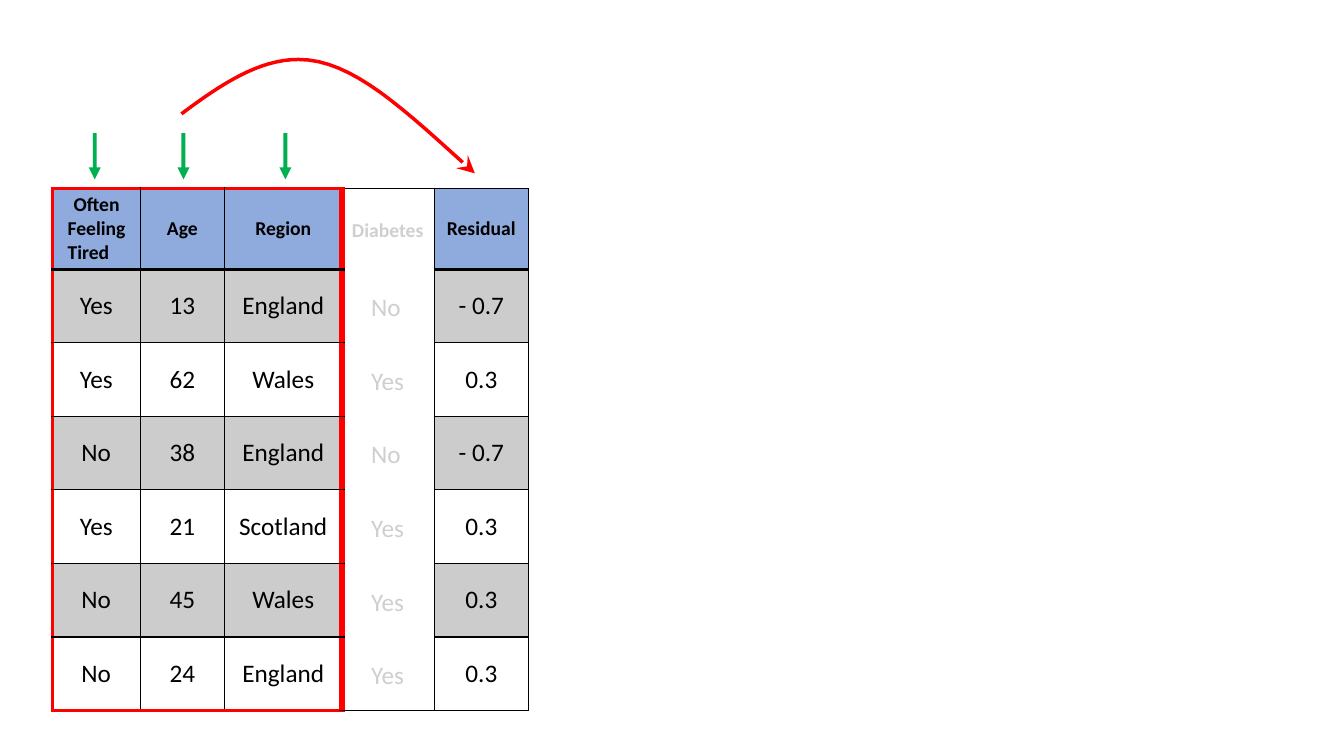
from lxml.etree import SubElement
from pptx import Presentation
from pptx.dml.color import RGBColor
from pptx.enum.shapes import MSO_SHAPE as Preset
from pptx.enum.text import MSO_ANCHOR as Anchor, PP_ALIGN as Align
from pptx.oxml.ns import qn
from pptx.util import Inches, Pt

BLACK = RGBColor(0x00, 0x00, 0x00)
WHITE = RGBColor(0xFF, 0xFF, 0xFF)
RED = RGBColor(0xFF, 0x00, 0x00)
GREEN = RGBColor(0x00, 0xAF, 0x50)
BLUE = RGBColor(0x8F, 0xAA, 0xDC)

COLUMNS = [0.87, 0.84, 1.16, 0.92, 0.93]
ROWS = [0.8] + [0.73] * 6
LEFT, TOP = 0.52, 1.87
FADED = 3  # column whose words lie under a veil
PATIENTS = [
    ["Often Feeling Tired", "Age", "Region", "", "Residual"],
    ["Yes", "13", "England", "", "- 0.7"],
    ["Yes", "62", "Wales", "", "0.3"],
    ["No", "38", "England", "", "- 0.7"],
    ["Yes", "21", "Scotland", "", "0.3"],
    ["No", "45", "Wales", "", "0.3"],
    ["No", "24", "England", "", "0.3"],
]
DIABETES = ["Diabetes", "No", "Yes", "No", "Yes", "Yes", "Yes"]


def set_font(para, header):
    font = para.font
    font.name, font.size, font.bold = "Calibri", Pt(14 if header else 18), header
    font.color.rgb = BLACK


def fill_solid(fill, color, opacity=100):
    fill.solid()
    fill.fore_color.rgb = color
    if opacity < 100:
        # the fill's XML is only reachable through its colour element
        element = fill._xPr.find(qn("a:solidFill"))[0]
        SubElement(element, qn("a:alpha"), val=str(opacity * 1000))


def set_indent(para, left, first):
    properties = para._p.get_or_add_pPr()
    properties.set("marL", str(Inches(left)))
    properties.set("indent", str(Inches(first)))


def cell_borders(row, col):
    """Return colour and width of each side; width 0 means no line."""
    boxed, last = col < FADED, len(ROWS) - 1
    left = {0: (RED, 3), FADED: (RED, 4.5)}.get(col, (BLACK, 1))
    right = (RED, 4.5) if col == FADED - 1 else (BLACK, 1)
    edge = (RED, 3) if boxed else (BLACK, 1)
    top = edge if row == 0 else (BLACK, 2.25 if row == 1 else 1)
    bottom = edge if row == last else (BLACK, 2.25 if row == 0 else 1)
    if col == FADED:
        top = top if row == 0 else (BLACK, 0)
        bottom = bottom if row == last else (BLACK, 0)
    return {"L": left, "R": right, "T": top, "B": bottom}


def draw_borders(cell, borders):
    properties = cell._tc.get_or_add_tcPr()
    for side, (color, width) in borders.items():
        line = SubElement(properties, qn(f"a:ln{side}"), w=str(Pt(width)))
        if width:
            solid = SubElement(line, qn("a:solidFill"))
            SubElement(solid, qn("a:srgbClr"), val=str(color))
        else:
            SubElement(line, qn("a:noFill"))


def add_faded_column(page, left, top, width, height):
    box = page.shapes.add_textbox(Inches(left + 0.1), Inches(top + 0.34),
                                  Inches(width - 0.21), Inches(height - 0.53))
    frame = box.text_frame
    frame.margin_left = frame.margin_right = frame.margin_top = frame.margin_bottom = 0
    frame.word_wrap = True
    for row, word in enumerate(DIABETES):
        para = frame.paragraphs[0] if row == 0 else frame.add_paragraph()
        para.text = word
        para.line_spacing = Pt(13.3 if row == 0 else 52.6)
        if row:
            set_indent(para, 0.19, 0)
        if row == 1:
            para.space_before = Pt(4.7)
        set_font(para, row == 0)

    veil = page.shapes.add_shape(Preset.RECTANGLE, Inches(left), Inches(top + 0.02),
                                 Inches(width), Inches(height))
    veil.shadow.inherit = False
    fill_solid(veil.fill, WHITE, 81)
    veil.line.fill.background()


def add_patient_table(page, left, top, width, height):
    table = page.shapes.add_table(len(ROWS), len(COLUMNS), Inches(left), Inches(top),
                                  Inches(width), Inches(height)).table
    table.first_row = table.horz_banding = False
    for column, size in zip(table.columns, COLUMNS):
        column.width = Inches(size)
    for line, size in zip(table.rows, ROWS):
        line.height = Inches(size)
    for row, words in enumerate(PATIENTS):
        for col, word in enumerate(words):
            cell = table.cell(row, col)
            cell.margin_left = cell.margin_right = cell.margin_top = cell.margin_bottom = 0
            cell.vertical_anchor = Anchor.MIDDLE
            draw_borders(cell, cell_borders(row, col))
            if col == FADED or row and row % 2 == 0:
                cell.fill.background()
            elif row == 0:
                fill_solid(cell.fill, BLUE)
            else:
                fill_solid(cell.fill, BLACK, 20)
            cell.text = word
            para = cell.text_frame.paragraphs[0]
            para.alignment = Align.CENTER
            if row == col == 0:
                para.alignment = Align.JUSTIFY
                set_indent(para, 0.15, 0.06)
            set_font(para, row == 0)


def add_column_arrow(page, center, top):
    width, height = 0.12, 0.46
    arrow = page.shapes.add_shape(Preset.DOWN_ARROW, Inches(center - width / 2),
                                  Inches(top), Inches(width), Inches(height))
    arrow.adjustments[0], arrow.adjustments[1] = 0.33, 1
    arrow.shadow.inherit = False
    fill_solid(arrow.fill, GREEN)
    arrow.line.fill.background()


def bezier_points(corners, steps=16):
    """Return points along a cubic curve, the start left out."""
    def blend(axis, t):
        weights = ((1 - t) ** 3, 3 * t * (1 - t) ** 2, 3 * t * t * (1 - t), t ** 3)
        return Inches(sum(w * corner[axis] for w, corner in zip(weights, corners)))
    return [(blend(0, i / steps), blend(1, i / steps)) for i in range(1, steps + 1)]


def add_residual_arc(page, start, peak, end):
    rise = [start, (start[0] + 0.4, start[1] - 0.3), (peak[0] - 0.39, peak[1]), peak]
    fall = [peak, (peak[0] + 0.54, peak[1]), (end[0] - 0.7, end[1] - 0.63), end]
    builder = page.shapes.build_freeform(Inches(start[0]), Inches(start[1]))
    builder.add_line_segments(bezier_points(rise) + bezier_points(fall), close=False)
    arc = builder.convert_to_shape()
    arc.shadow.inherit = False
    arc.fill.background()
    arc.line.color.rgb = RED
    arc.line.width = Pt(2.5)
    SubElement(arc.line._get_or_add_ln(), qn("a:tailEnd"), type="stealth", w="lg", len="lg")


def main():
    deck = Presentation()
    deck.slide_width, deck.slide_height = Inches(13.33), Inches(7.5)
    page = deck.slides.add_slide(deck.slide_layouts[6])
    width, height = sum(COLUMNS), sum(ROWS)
    add_faded_column(page, LEFT + sum(COLUMNS[:FADED]), TOP, COLUMNS[FADED], height)
    add_patient_table(page, LEFT, TOP, width, height)
    for center in (0.94, 1.82, 2.83):
        add_column_arrow(page, center, TOP - 0.55)
    add_residual_arc(page, (1.8, 1.13), (2.96, 0.59), (4.71, 1.72))
    deck.save("out.pptx")


if __name__ == "__main__":
    main()
